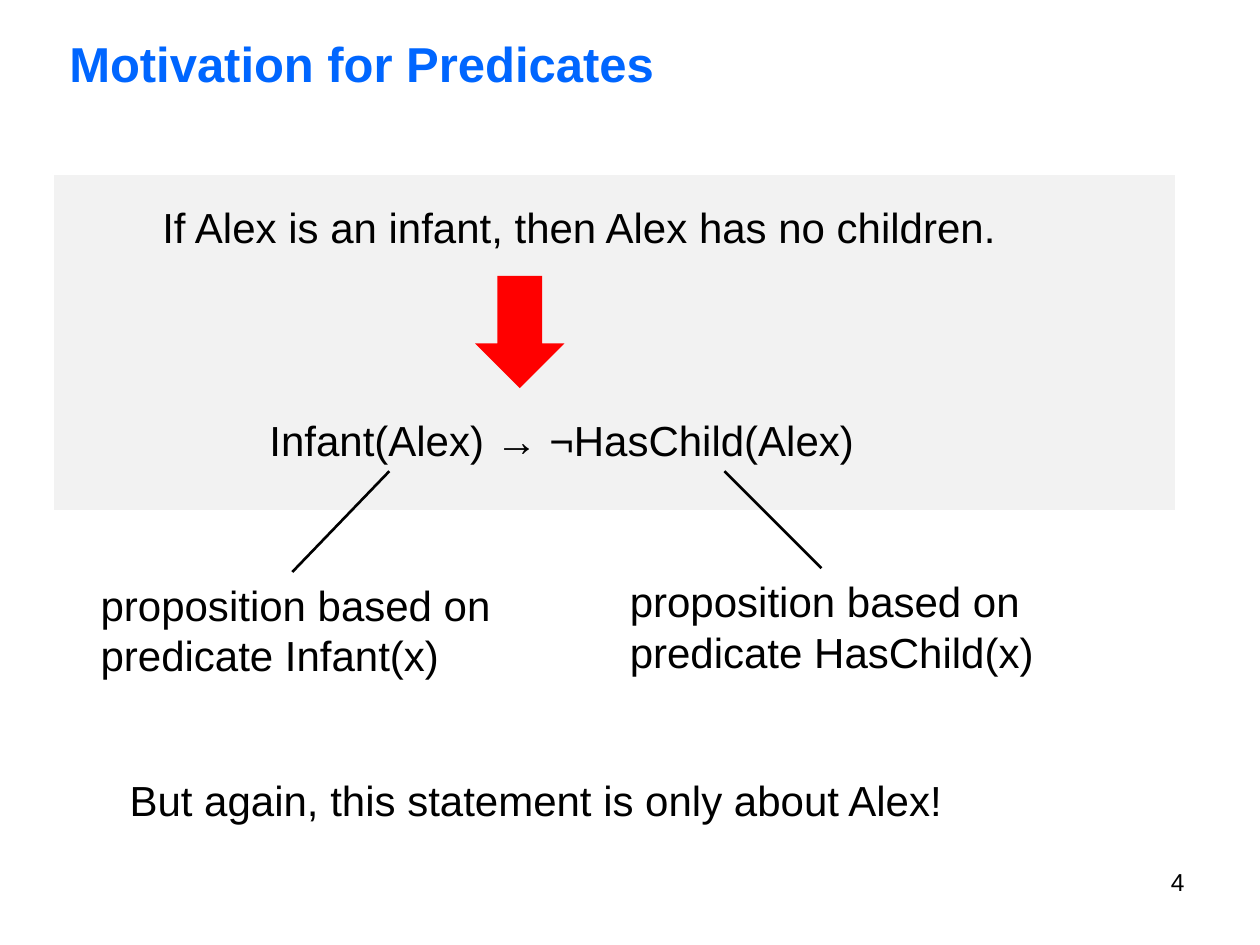
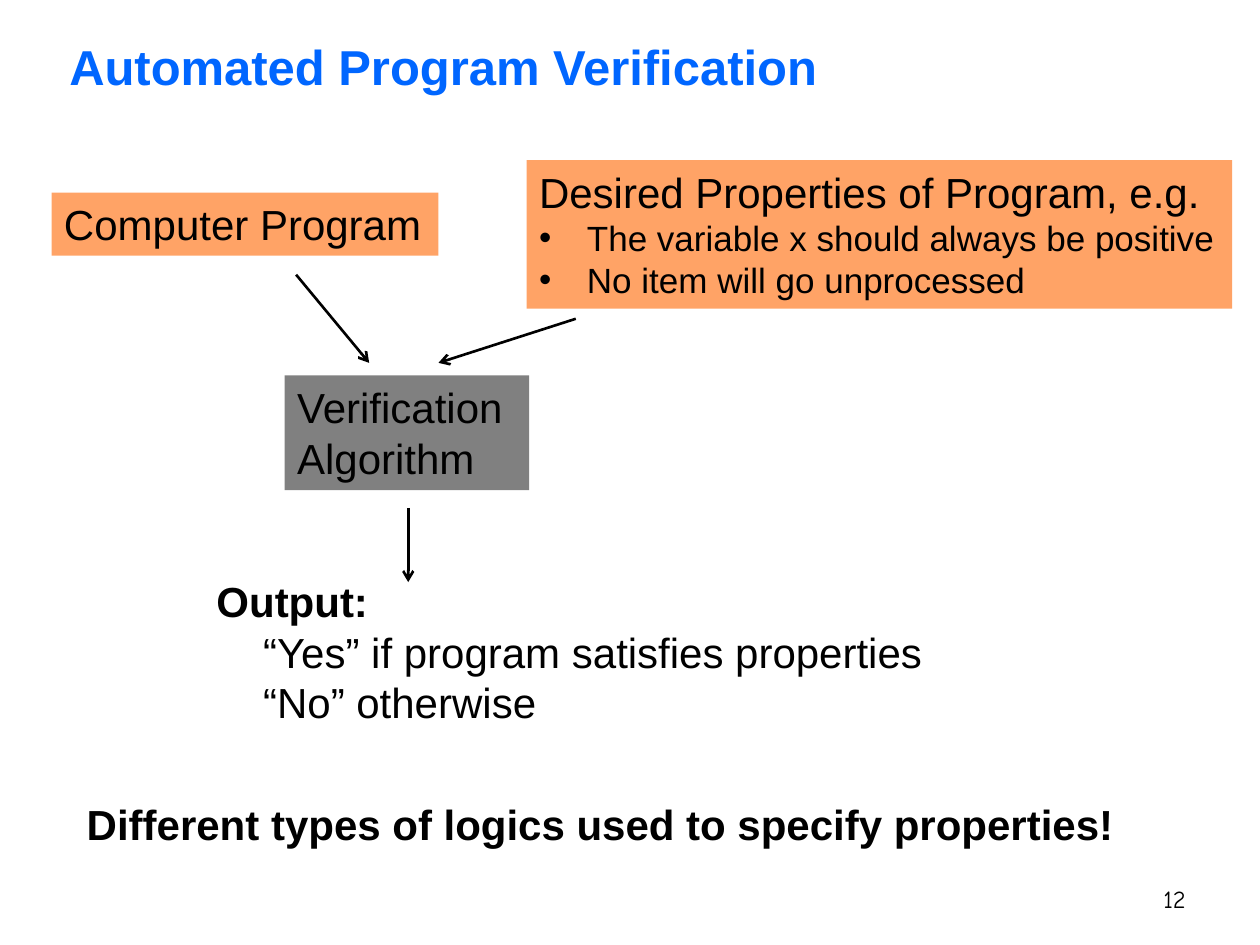
from dataclasses import dataclass, field
from typing import Any, Optional

from lxml.etree import SubElement
from pptx import Presentation
from pptx.dml.color import RGBColor
from pptx.enum.shapes import MSO_CONNECTOR, MSO_SHAPE
from pptx.enum.text import MSO_ANCHOR, MSO_AUTO_SIZE, PP_ALIGN
from pptx.oxml.ns import qn
from pptx.util import Inches, Pt


# Colours, fonts and type sizes
@dataclass(frozen=True)
class Theme:
    font: str = "Arial"
    blue: str = "0066FF"
    black: str = "000000"
    white: str = "FFFFFF"
    pale: str = "F2F2F2"
    red: str = "FF0000"
    orange: str = "FFA366"
    gray: str = "808080"
    head: int = 28
    body: int = 24
    small: int = 20
    foot: int = 14
    stroke: float = 1.5


THEME = Theme()
Area = tuple[float, float, float, float]
Point = tuple[float, float]


# Elements of a slide
@dataclass(frozen=True)
class Para:
    text: str
    size: int = THEME.body
    bold: bool = False
    indent: float = 0
    bullet: bool = False
    color: str = THEME.black
    font: str = THEME.font
    align: PP_ALIGN = PP_ALIGN.LEFT


@dataclass(frozen=True)
class Box:
    area: Area
    paras: list[Para] = field(default_factory=list)
    fill: Optional[str] = None
    edge: Optional[str] = None
    kind: MSO_SHAPE = MSO_SHAPE.RECTANGLE
    wrap: bool = False


@dataclass(frozen=True)
class Line:
    start: Point
    end: Point
    arrow: bool = False


@dataclass(frozen=True)
class Page:
    title: str
    top: float
    number: Box
    marks: list[Box | Line]


def apply(target: Any, values: dict[str, Any]) -> None:
    for name, value in values.items():
        setattr(target, name, value)


def write(frame: Any, paras: list[Para]) -> None:
    for i, item in enumerate(paras):
        para = frame.paragraphs[0] if i == 0 else frame.add_paragraph()
        para.alignment = item.align
        for j, text in enumerate(item.text.split("\n")):
            if j:
                para.add_line_break()
            run = para.add_run()
            run.text = text
            apply(run.font, {"name": item.font, "size": Pt(item.size),
                             "bold": item.bold})
            run.font.color.rgb = RGBColor.from_string(item.color)
        if item.indent:
            props = para._p.get_or_add_pPr()
            props.set("marL", str(Inches(item.indent)))
            if item.bullet:
                props.set("indent", str(-Inches(item.indent)))
                SubElement(props, qn("a:buFont"), typeface=item.font)
                SubElement(props, qn("a:buChar"), char="•")


def draw_box(slide: Any, box: Box) -> None:
    area = [Inches(n) for n in box.area]
    if box.fill:
        shape = slide.shapes.add_shape(box.kind, *area)
        shape.shadow.inherit = False
        shape.fill.solid()
        shape.fill.fore_color.rgb = RGBColor.from_string(box.fill)
        if box.edge:
            shape.line.color.rgb = RGBColor.from_string(box.edge)
            shape.line.width = Pt(THEME.stroke)
        else:
            shape.line.fill.background()
    else:
        shape = slide.shapes.add_textbox(*area)
    if box.paras:
        fit = MSO_AUTO_SIZE.NONE if box.wrap else MSO_AUTO_SIZE.SHAPE_TO_FIT_TEXT
        apply(shape.text_frame, {"word_wrap": box.wrap, "auto_size": fit,
                                 "vertical_anchor": MSO_ANCHOR.TOP})
        write(shape.text_frame, box.paras)


def draw_line(slide: Any, line: Line) -> None:
    ends = [Inches(n) for n in line.start + line.end]
    shape = slide.shapes.add_connector(MSO_CONNECTOR.STRAIGHT, *ends)
    shape.line.color.rgb = RGBColor.from_string(THEME.black)
    shape.line.width = Pt(THEME.stroke)
    if line.arrow:
        SubElement(shape.line._get_or_add_ln(), qn("a:tailEnd"), type="arrow")
    SubElement(shape._element.spPr, qn("a:effectLst"))


def draw_page(deck: Any, page: Page) -> None:
    slide = deck.slides.add_slide(deck.slide_layouts[5])
    title = slide.shapes.title
    apply(title, {"left": Inches(0.45), "top": Inches(page.top),
                  "width": Inches(9.32), "height": Inches(0.68)})
    apply(title.text_frame, {"vertical_anchor": MSO_ANCHOR.MIDDLE,
                             "auto_size": MSO_AUTO_SIZE.NONE})
    write(title.text_frame,
          [Para(page.title, THEME.head, True, color=THEME.blue)])
    for mark in [*page.marks, page.number]:
        if isinstance(mark, Line):
            draw_line(slide, mark)
        else:
            draw_box(slide, mark)


def folio(text: str, area: Area, font: str = THEME.font) -> Box:
    para = Para(text, THEME.foot, font=font, align=PP_ALIGN.RIGHT)
    return Box(area, [para], wrap=True)


# Slide content
LOGIC = Page(
    "Motivation for Predicates", 0.16, folio("4", (7.17, 6.83, 2.33, 0.52)),
    [
        Box((0.42, 1.38, 8.92, 2.68), fill=THEME.pale, edge=THEME.white),
        Box((1.19, 1.55, 6.88, 0.5),
            [Para("If Alex is an infant, then Alex has no children.")]),
        Box((3.77, 2.19, 0.71, 0.89), fill=THEME.red,
            kind=MSO_SHAPE.DOWN_ARROW),
        Box((2.04, 3.24, 4.93, 0.5),
            [Para("Infant(Alex) → ¬HasChild(Alex)")]),
        Line((3.09, 3.74), (2.32, 4.54)),
        Box((0.7, 4.55, 3.42, 0.91),
            [Para("proposition based on\npredicate Infant(x)")]),
        Line((5.75, 3.74), (6.52, 4.51)),
        Box((4.9, 4.52, 3.42, 0.91),
            [Para("proposition based on\npredicate HasChild(x)")]),
        Box((0.93, 6.1, 6.71, 0.5),
            [Para("But again, this statement is only about Alex!")]),
    ],
)

CHECK = Page(
    "Automated Program Verification", 0.18,
    folio("12", (7.43, 6.97, 2.08, 0.25), "Comic Neue"),
    [
        Box((0.41, 1.53, 3.07, 0.5), [Para("Computer Program")], THEME.orange),
        Box((4.18, 1.27, 5.6, 1.18), [
            Para("Desired Properties of Program, e.g."),
            *[Para(text, THEME.small, indent=0.38, bullet=True) for text in (
                "The variable x should always be positive",
                "No item will go unprocessed")],
        ], THEME.orange),
        Box((2.26, 2.98, 1.94, 0.91),
            [Para("Verification"), Para("Algorithm")], THEME.gray),
        Line((2.35, 2.18), (2.93, 2.88), True),
        Line((4.57, 2.53), (3.48, 2.88), True),
        Line((3.24, 4.03), (3.24, 4.62), True),
        Box((1.62, 4.52, 5.86, 1.31), [
            Para("Output:", bold=True),
            Para("“Yes” if program satisfies properties", indent=0.37),
            Para("“No” otherwise", indent=0.37),
        ]),
        Box((0.59, 6.29, 8.43, 0.5),
            [Para("Different types of logics used to specify properties!",
                  bold=True)]),
    ],
)


def main() -> None:
    deck = Presentation()
    apply(deck, {"slide_width": Inches(10), "slide_height": Inches(7.5)})
    for page in (LOGIC, CHECK):
        draw_page(deck, page)
    deck.save("out.pptx")


if __name__ == "__main__":
    main()
